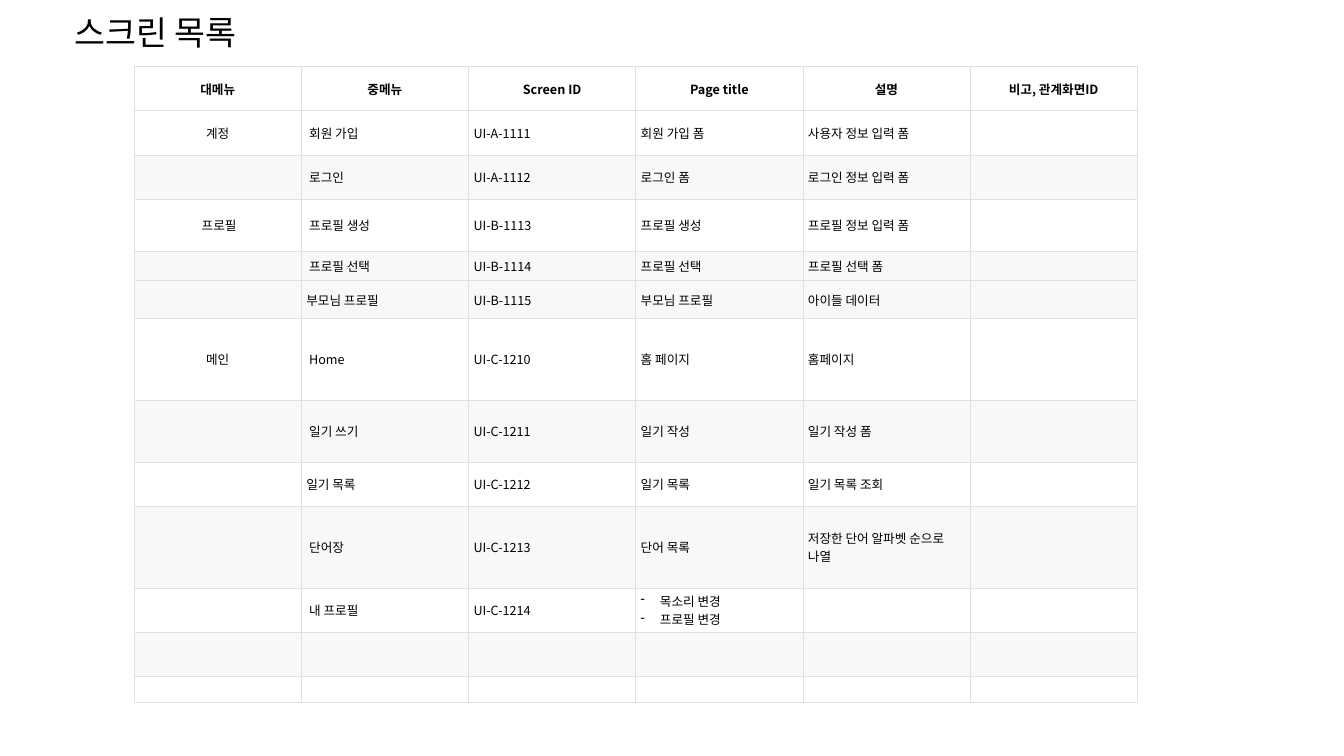
"""Build the screen list slide: a title above a table of screens."""
from lxml import etree
from pptx import Presentation, util as u
from pptx.dml.color import RGBColor
from pptx.enum import text
from pptx.oxml import ns

TITLE = "스크린 목록"
HEADINGS = ("대메뉴", "중메뉴", "Screen ID", "Page title", "설명", "비고, 관계화면ID")
SCREENS = [
    (0.44, "plain", ("계정", " 회원 가입", "UI-A-1111", "회원 가입 폼", "사용자 정보 입력 폼", "")),
    (0.44, "band", ("", " 로그인", "UI-A-1112", "로그인 폼", "로그인 정보 입력 폼", "")),
    (0.52, "plain", (" 프로필", " 프로필 생성", "UI-B-1113", "프로필 생성", "프로필 정보 입력 폼", "")),
    (0.29, "band", ("", " 프로필 선택", "UI-B-1114", "프로필 선택", "프로필 선택 폼", "")),
    (0.38, "band", ("", "부모님 프로필", "UI-B-1115", "부모님 프로필", "아이들 데이터", "")),
    (0.81, "plain", ("메인", " Home", "UI-C-1210", "홈 페이지", "홈페이지", "")),
    (0.62, "band", ("", " 일기 쓰기", "UI-C-1211", "일기 작성", "일기 작성 폼", "")),
    (0.44, "plain", ("", "일기 목록", "UI-C-1212", "일기 목록", "일기 목록 조회", "")),
    (0.81, "band", ("", " 단어장", "UI-C-1213", "단어 목록", "저장한 단어 알파벳 순으로 나열", "")),
    (0.44, "plain", ("", " 내 프로필", "UI-C-1214", ("목소리 변경", "프로필 변경"), "", "")),
    (0.44, "band", ("",) * 6),
    (0.26, "plain", ("",) * 6),
]
ROWS = [(0.44, "plain", HEADINGS)] + SCREENS
COLORS = {"plain": "FFFFFF", "band": "F8F8F8", "grid": "DFE2E5", "ink": "000000"}
FONT = "Noto Sans CJK KR"
LEFT, TOP, WIDTH, HEIGHT = 1.33, 0.66, 9.95, 6.31
BODY_SIZE, TITLE_SIZE = 9, 24


def add(parent, tag, **attributes):
    return etree.SubElement(parent, ns.qn(tag), attributes)


def style(paragraph, size, bold=False):
    for run in paragraph.runs:
        run.font.size = u.Pt(size)
        run.font.bold = bold
        run.font.name = FONT
        run.font.color.rgb = RGBColor.from_string(COLORS["ink"])
        add(run.font._element, "a:ea", typeface=FONT)
    if not paragraph.runs:
        add(paragraph._p, "a:endParaRPr", sz=str(size * 100))


def add_dash(paragraph):
    margin = u.Inches(0.19)
    properties = paragraph._p.get_or_add_pPr()
    properties.set("marL", str(margin))
    properties.set("indent", str(-margin))
    add(properties, "a:buChar", char="-")


def draw_borders(cell):
    properties = cell._tc.get_or_add_tcPr()
    for position, side in enumerate("LRTB"):
        line = add(properties, f"a:ln{side}", w=str(u.Pt(0.6)))
        add(add(line, "a:solidFill"), "a:srgbClr", val=COLORS["grid"])
        properties.insert(position, line)


def fill_cell(cell, content, shade, heading, centred):
    cell.fill.solid()
    cell.fill.fore_color.rgb = RGBColor.from_string(COLORS[shade])
    cell.vertical_anchor = text.MSO_ANCHOR.MIDDLE
    cell.margin_left = cell.margin_right = u.Inches(0.05)
    cell.margin_top = cell.margin_bottom = u.Inches(0.02)
    listed = isinstance(content, tuple)
    cell.text_frame.text = "\n".join(content) if listed else content
    for paragraph in cell.text_frame.paragraphs:
        if centred:
            paragraph.alignment = text.PP_ALIGN.CENTER
        if listed:
            add_dash(paragraph)
        style(paragraph, BODY_SIZE, heading)
    draw_borders(cell)


def add_screens(slide):
    box = [u.Inches(length) for length in (LEFT, TOP, WIDTH, HEIGHT)]
    screens = slide.shapes.add_table(len(ROWS), len(HEADINGS), *box).table
    screens.first_row = screens.horz_banding = False
    for column in screens.columns:
        column.width = u.Inches(WIDTH / len(HEADINGS))
    total = sum(share for share, _, _ in ROWS)
    for r, (share, shade, contents) in enumerate(ROWS):
        screens.rows[r].height = u.Inches(HEIGHT * share / total)
        for c, content in enumerate(contents):
            fill_cell(screens.cell(r, c), content, shade, r == 0, r == 0 or c == 0)


def add_title(slide):
    box = [u.Inches(length) for length in (0.64, 0.07, 7.25, 0.5)]
    frame = slide.shapes.add_textbox(*box).text_frame
    frame.word_wrap = True
    frame.auto_size = text.MSO_AUTO_SIZE.SHAPE_TO_FIT_TEXT
    frame.text = TITLE
    style(frame.paragraphs[0], TITLE_SIZE)


def main():
    deck = Presentation()
    deck.slide_width, deck.slide_height = u.Inches(13.33), u.Inches(7.5)
    slide = deck.slides.add_slide(deck.slide_layouts[6])
    add_screens(slide)
    add_title(slide)
    deck.save("out.pptx")


if __name__ == "__main__":
    main()
